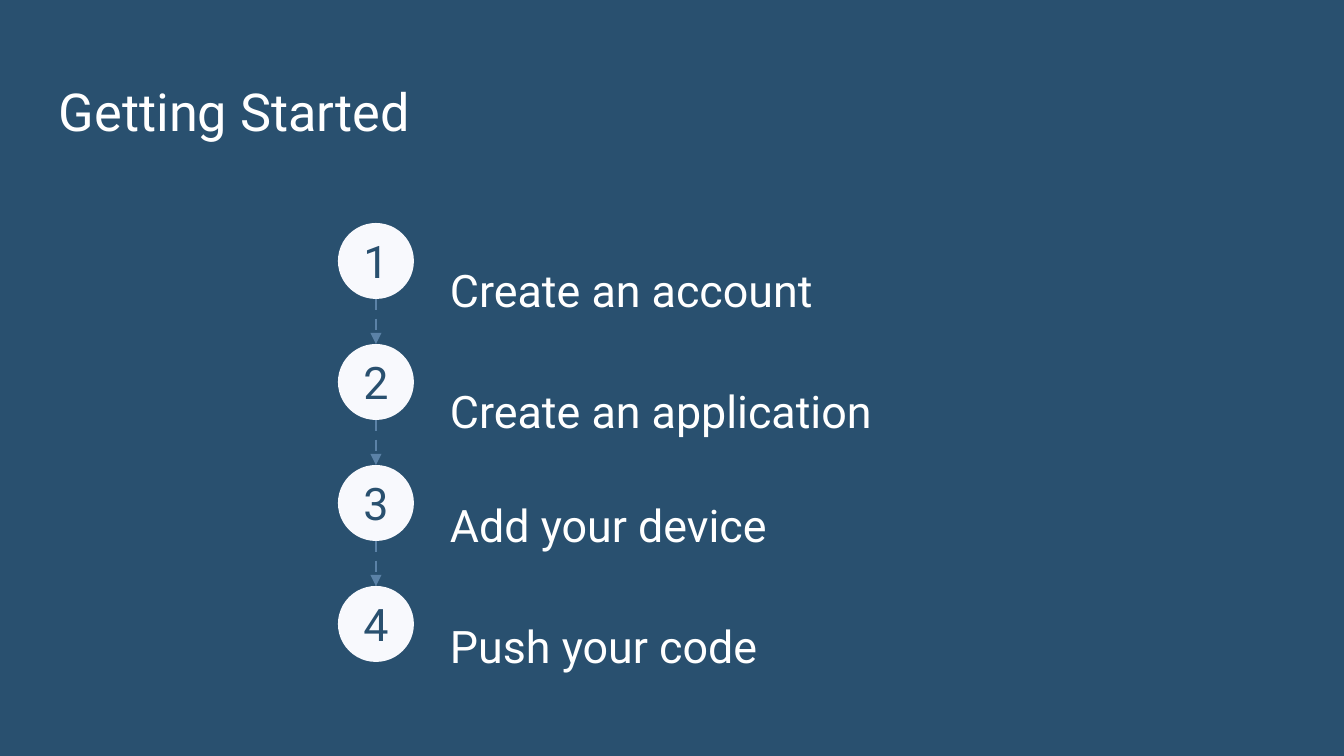
from lxml import etree
from pptx import Presentation
from pptx.dml.color import RGBColor
from pptx.enum.dml import MSO_LINE
from pptx.enum.shapes import MSO_CONNECTOR, MSO_SHAPE
from pptx.enum.text import MSO_ANCHOR, MSO_AUTO_SIZE, PP_ALIGN
from pptx.oxml.ns import qn
from pptx.util import Pt

OVAL = MSO_SHAPE.OVAL
STRAIGHT = MSO_CONNECTOR.STRAIGHT
DASH = MSO_LINE.DASH
TOP, MIDDLE = MSO_ANCHOR.TOP, MSO_ANCHOR.MIDDLE
LEFT, CENTER = PP_ALIGN.LEFT, PP_ALIGN.CENTER
NO_FIT = MSO_AUTO_SIZE.NONE

NAVY = RGBColor(0x29, 0x50, 0x6F)
WHITE = RGBColor(0xFF, 0xFF, 0xFF)
PALE = RGBColor(0xF8, 0xF9, 0xFD)
BLUE = RGBColor(0x5B, 0x82, 0xA7)
FONT = "Roboto"

PX = 6804  # EMU per px, 134.4 px to the inch
INSET = 13
CIRCLE_X, CIRCLE_Y, CIRCLE = 338, 223, 76
STEP = 121
LABEL_X, LABEL_W, LABEL_H = 437, 499, 90

# label and its vertical offset from the top of its circle
STEPS = [
    ("Create an account", 0),
    ("Create an application", 0),
    ("Add your device", -7),
    ("Push your code", -7),
]


def box(*lengths):
    return [length * PX for length in lengths]


def write(shape, text, size, color, anchor=TOP, align=LEFT, spacing=1.0):
    """Fill the shape with one formatted run and return nothing."""
    tf = shape.text_frame
    tf.word_wrap = True
    tf.auto_size = NO_FIT
    tf.vertical_anchor = anchor
    tf.margin_left = tf.margin_right = INSET * PX
    tf.margin_top = tf.margin_bottom = INSET * PX
    p = tf.paragraphs[0]
    p.alignment = align
    p.line_spacing = spacing
    r = p.add_run()
    r.text = text
    r.font.name = FONT
    r.font.size = Pt(size)
    r.font.color.rgb = color


prs = Presentation()
prs.slide_width, prs.slide_height = box(1344, 756)
s = prs.slides.add_slide(prs.slide_layouts[5])
s.background.fill.solid()
s.background.fill.fore_color.rgb = NAVY

title = s.shapes.title
title.left, title.top, title.width, title.height = box(46, 66, 1253, 85)
write(title, "Getting Started", 28, WHITE)

for i, (text, offset) in enumerate(STEPS):
    y = CIRCLE_Y + i * STEP

    circle = s.shapes.add_shape(OVAL, *box(CIRCLE_X, y, CIRCLE, CIRCLE))
    circle.shadow.inherit = False
    circle.fill.solid()
    circle.fill.fore_color.rgb = PALE
    circle.line.fill.background()
    write(circle, str(i + 1), 24, NAVY, MIDDLE, CENTER)

    label = s.shapes.add_textbox(*box(LABEL_X, y + offset, LABEL_W, LABEL_H))
    write(label, text, 24, WHITE, spacing=1.5)

    if i < len(STEPS) - 1:
        x = CIRCLE_X + CIRCLE // 2
        arrow = s.shapes.add_connector(STRAIGHT, *box(x, y + CIRCLE, x, y + STEP))
        arrow.line.color.rgb = BLUE
        arrow.line.width = Pt(1.5)
        arrow.line.dash_style = DASH
        etree.SubElement(arrow.line._get_or_add_ln(), qn("a:tailEnd"), type="triangle")
        etree.SubElement(arrow._element.spPr, qn("a:effectLst"))

prs.save("out.pptx")
